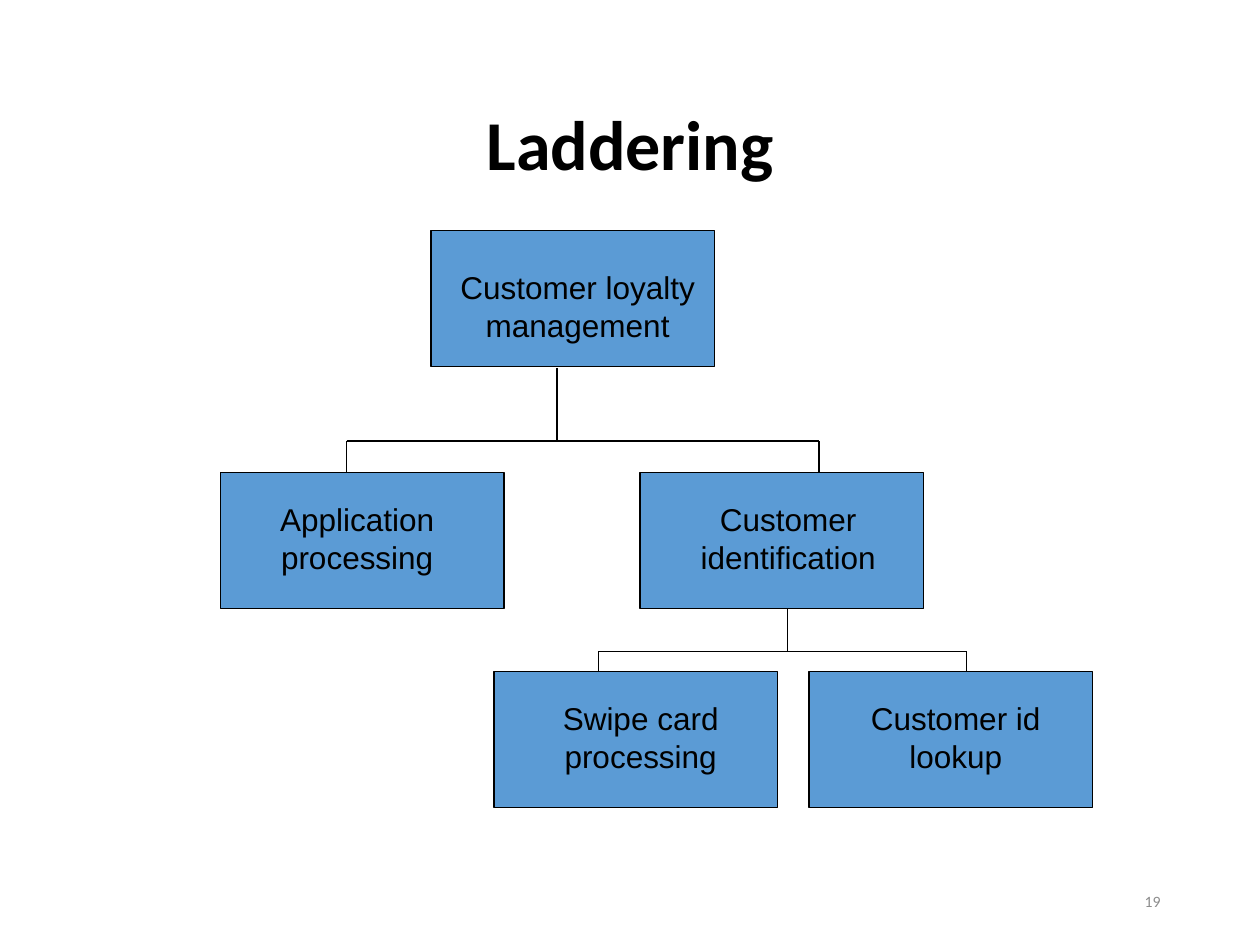
from dataclasses import dataclass

from lxml import etree
from pptx import Presentation
from pptx.dml.color import RGBColor
from pptx.enum.shapes import MSO_CONNECTOR, MSO_SHAPE
from pptx.enum.text import MSO_ANCHOR, MSO_AUTO_SIZE, PP_ALIGN
from pptx.oxml.ns import qn
from pptx.util import Inches, Pt

RECTANGLE = MSO_SHAPE.RECTANGLE
STRAIGHT = MSO_CONNECTOR.STRAIGHT
MIDDLE = MSO_ANCHOR.MIDDLE
TOP = MSO_ANCHOR.TOP
CENTER = PP_ALIGN.CENTER
RIGHT = PP_ALIGN.RIGHT
FIT_SHAPE = MSO_AUTO_SIZE.SHAPE_TO_FIT_TEXT
NO_FIT = MSO_AUTO_SIZE.NONE


@dataclass(frozen=True)
class Theme:
    ink: RGBColor = RGBColor(0x00, 0x00, 0x00)
    muted: RGBColor = RGBColor(0x8C, 0x8C, 0x8C)
    box: RGBColor = RGBColor(0x5B, 0x9B, 0xD5)
    heading_font: str = "Calibri"
    label_font: str = "Arial"
    title_size: Pt = Pt(40)
    label_size: Pt = Pt(18)
    number_size: Pt = Pt(9)
    line_width: Pt = Pt(0.75)


THEME = Theme()
BOX_WIDTH, BOX_HEIGHT = 2.25, 1.08
LABEL_WIDTH, LABEL_HEIGHT = 2.17, 0.7

# label, box left and top, label left and top
GOALS = [
    ("Customer loyalty management", (3.42, 1.83), (3.5, 2.08)),
    ("Application processing", (1.75, 3.75), (1.75, 3.92)),
    ("Customer identification", (5.08, 3.75), (5.17, 3.92)),
    ("Swipe card processing", (3.92, 5.33), (4, 5.5)),
    ("Customer id lookup", (6.42, 5.33), (6.5, 5.5)),
]

# stem x, parent bottom, bar y, child top, x of each child
BRANCHES = [
    (4.42, 2.92, 3.5, 3.75, (2.75, 6.5)),
    (6.25, 4.83, 5.17, 5.33, (4.75, 7.67)),
]


def write_text(shape, text, font_name, size, color, alignment, bold=False):
    shape.text_frame.text = text
    paragraph = shape.text_frame.paragraphs[0]
    paragraph.alignment = alignment
    font = paragraph.runs[0].font
    font.name = font_name
    font.size = size
    font.bold = bold
    font.color.rgb = color
    return paragraph


def add_text(slide, text, left, top, width, height, font_name, size, color,
             alignment, anchor=TOP, auto_size=NO_FIT):
    shape = slide.shapes.add_textbox(
        Inches(left), Inches(top), Inches(width), Inches(height))
    shape.text_frame.word_wrap = True
    shape.text_frame.auto_size = auto_size
    shape.text_frame.vertical_anchor = anchor
    write_text(shape, text, font_name, size, color, alignment)


def set_title(slide, text):
    title = slide.shapes.title
    title.left, title.top = Inches(0.69), Inches(0.77)
    title.width, title.height = Inches(8.62), Inches(0.81)
    title.text_frame.vertical_anchor = MIDDLE
    paragraph = write_text(title, text, THEME.heading_font, THEME.title_size,
                           THEME.ink, CENTER, bold=True)
    paragraph.line_spacing = 0.9


def add_goal(slide, label, box_position, label_position):
    left, top = box_position
    box = slide.shapes.add_shape(
        RECTANGLE, Inches(left), Inches(top),
        Inches(BOX_WIDTH), Inches(BOX_HEIGHT))
    box.shadow.inherit = False
    box.fill.solid()
    box.fill.fore_color.rgb = THEME.box
    box.line.color.rgb = THEME.ink
    box.line.width = THEME.line_width
    add_text(slide, label, *label_position, LABEL_WIDTH, LABEL_HEIGHT,
             THEME.label_font, THEME.label_size, THEME.ink, CENTER,
             auto_size=FIT_SHAPE)


def add_line(slide, start_x, start_y, end_x, end_y):
    line = slide.shapes.add_connector(
        STRAIGHT, Inches(start_x), Inches(start_y),
        Inches(end_x), Inches(end_y))
    line.line.color.rgb = THEME.ink
    line.line.width = THEME.line_width
    etree.SubElement(line._element.spPr, qn("a:effectLst"))


def add_branch(slide, stem_x, parent_bottom, bar_y, child_top, child_xs):
    """Join a parent to its children by a stem, a bar and one drop each."""
    add_line(slide, min(child_xs), bar_y, max(child_xs), bar_y)
    add_line(slide, stem_x, parent_bottom, stem_x, bar_y)
    for child_x in child_xs:
        add_line(slide, child_x, bar_y, child_x, child_top)


def main():
    presentation = Presentation()
    presentation.slide_width = Inches(10)
    presentation.slide_height = Inches(7.5)
    slide = presentation.slides.add_slide(presentation.slide_layouts[5])

    set_title(slide, "Laddering")
    add_text(slide, "19", 7.06, 6.95, 2.25, 0.4, THEME.heading_font,
             THEME.number_size, THEME.muted, RIGHT, anchor=MIDDLE)
    for goal in GOALS:
        add_goal(slide, *goal)
    for branch in BRANCHES:
        add_branch(slide, *branch)

    presentation.save("out.pptx")


if __name__ == "__main__":
    main()
